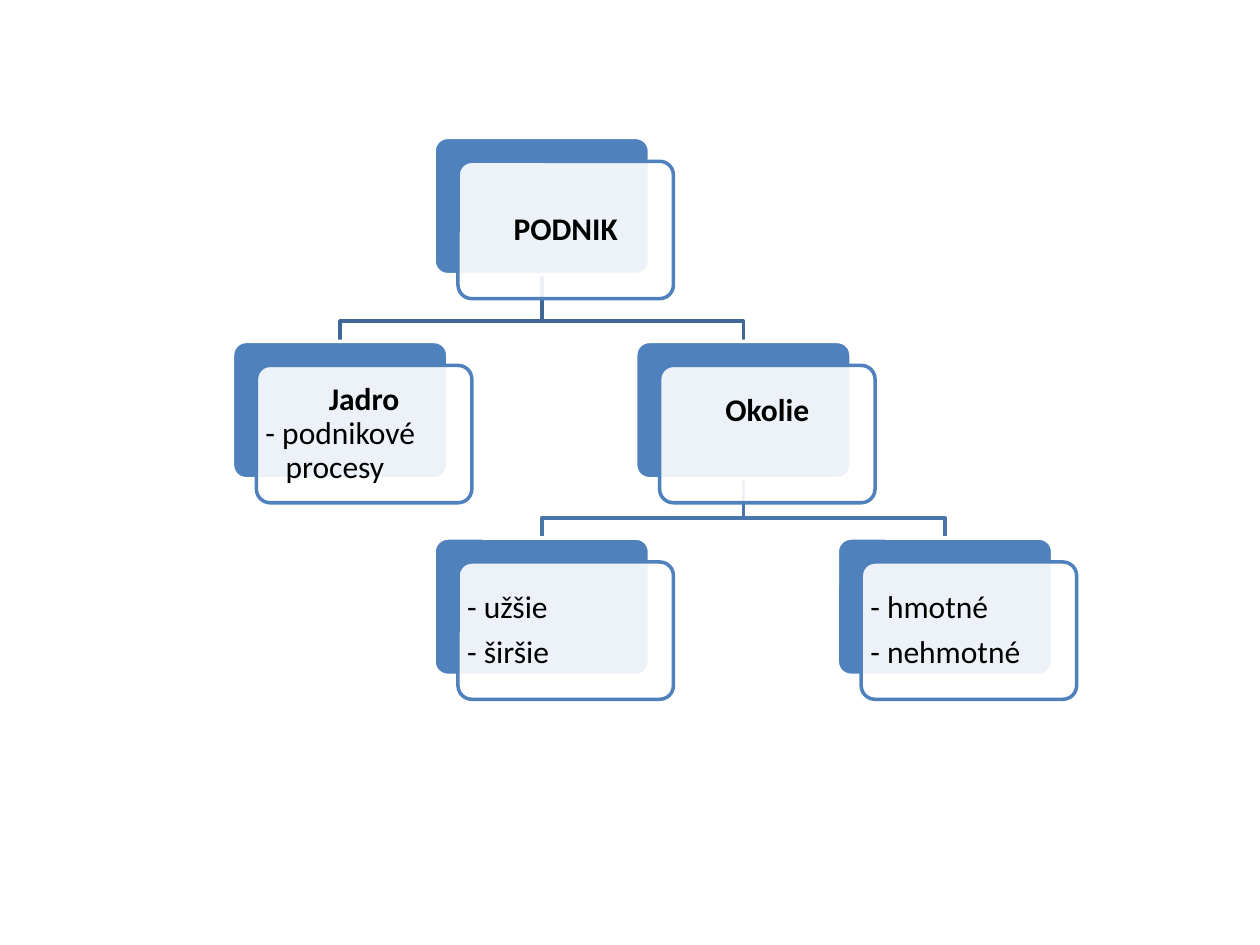
from dataclasses import dataclass

from lxml import etree
from pptx import Presentation
from pptx.dml.color import RGBColor
from pptx.enum.shapes import MSO_SHAPE
from pptx.enum.text import MSO_ANCHOR, PP_ALIGN
from pptx.oxml.ns import qn
from pptx.util import Inches, Pt

ROUNDED = MSO_SHAPE.ROUNDED_RECTANGLE
MIDDLE = MSO_ANCHOR.MIDDLE
LEFT, CENTER = PP_ALIGN.LEFT, PP_ALIGN.CENTER

HEADING = dict(bold=True, align=CENTER)
TIGHT = dict(space_after=0)
NODES = {
    "company": dict(column=1, row=0, lines=[("PODNIK", HEADING)]),
    "core": dict(column=0, row=1, lines=[
        ("Jadro", HEADING | TIGHT),
        ("- podnikové", TIGHT),
        ("procesy", TIGHT | dict(indent=0.16)),
    ]),
    "surroundings": dict(column=2, row=1, lines=[("Okolie", HEADING)], lift=0.36),
    "scope": dict(column=1, row=2, lines=[("- užšie", {}), ("- širšie", {})]),
    "nature": dict(column=3, row=2, lines=[("- hmotné", {}), ("- nehmotné", {})]),
}
LINKS = [
    ("surroundings", "nature", "4875AC"),
    ("surroundings", "scope", "4875AC"),
    ("company", "surroundings", "3F6797"),
    ("company", "core", "3F6797"),
]

ROW_TOPS = (1.09, 2.71, 4.27)
FIRST_CENTER, COLUMN_STEP = 2.7, 1.6
CARD_WIDTH, CARD_HEIGHT = 1.71, 1.09
CARD_OFFSET, CARD_INSET = 0.19, 0.04
BEND_GAP = 0.16


@dataclass(frozen=True)
class Theme:
    font: str = "Calibri"
    size: float = 18
    space_after: float = 6.3
    line_width: float = 2
    text: str = "000000"
    accent: str = "4F81BD"
    paper: str = "FFFFFF"
    card_alpha: int = 90


THEME = Theme()


def color(value):
    return RGBColor.from_string(value)


def node_position(node):
    return FIRST_CENTER + node["column"] * COLUMN_STEP, ROW_TOPS[node["row"]]


def write_text(paragraph, text, bold=False, align=LEFT, indent=0,
               space_after=THEME.space_after):
    paragraph.alignment = align
    paragraph.line_spacing = 0.9
    paragraph.space_after = Pt(space_after)
    if indent:
        paragraph._p.get_or_add_pPr().set("marL", str(Inches(indent)))
    run = paragraph.add_run()
    run.text = text
    run.font.name = THEME.font
    run.font.size = Pt(THEME.size)
    run.font.bold = bold
    run.font.color.rgb = color(THEME.text)


def add_card(slide, left, top, fill, line):
    card = slide.shapes.add_shape(ROUNDED, Inches(left), Inches(top),
                                  Inches(CARD_WIDTH), Inches(CARD_HEIGHT))
    card.adjustments[0] = 0.1
    card.shadow.inherit = False
    card.fill.solid()
    card.fill.fore_color.rgb = color(fill)
    card.line.color.rgb = color(line)
    card.line.width = Pt(THEME.line_width)
    return card


def add_node(slide, node):
    center, top = node_position(node)
    left = center - CARD_WIDTH / 2
    add_card(slide, left, top, THEME.accent, THEME.paper)
    front = add_card(slide, left + CARD_OFFSET, top + CARD_OFFSET,
                     THEME.paper, THEME.accent)
    fill_color = front._element.spPr.find(qn("a:solidFill")).find(qn("a:srgbClr"))
    etree.SubElement(fill_color, qn("a:alpha")).set("val", str(THEME.card_alpha * 1000))

    frame = front.text_frame
    frame.word_wrap = True
    frame.vertical_anchor = MIDDLE
    frame.margin_left = frame.margin_right = frame.margin_top = Inches(CARD_INSET)
    frame.margin_bottom = Inches(CARD_INSET + node.get("lift", 0))
    for index, (text, style) in enumerate(node["lines"]):
        paragraph = frame.add_paragraph() if index else frame.paragraphs[0]
        write_text(paragraph, text, **style)


def add_link(slide, parent, child, line):
    start_x, parent_top = node_position(parent)
    end_x, end_y = node_position(child)
    bend_y = end_y - BEND_GAP
    points = [(start_x, parent_top + CARD_HEIGHT), (start_x, bend_y),
              (end_x, bend_y), (end_x, end_y)]
    start, *rest = [(Inches(x), Inches(y)) for x, y in points]
    builder = slide.shapes.build_freeform(*start)
    builder.add_line_segments(rest, close=False)
    link = builder.convert_to_shape()
    link.shadow.inherit = False
    link.fill.background()
    link.line.color.rgb = color(line)
    link.line.width = Pt(THEME.line_width)


presentation = Presentation()
presentation.slide_width = Inches(10)
presentation.slide_height = Inches(7.5)
slide = presentation.slides.add_slide(presentation.slide_layouts[6])
for parent, child, line in LINKS:
    add_link(slide, NODES[parent], NODES[child], line)
for node in NODES.values():
    add_node(slide, node)
presentation.save("out.pptx")
